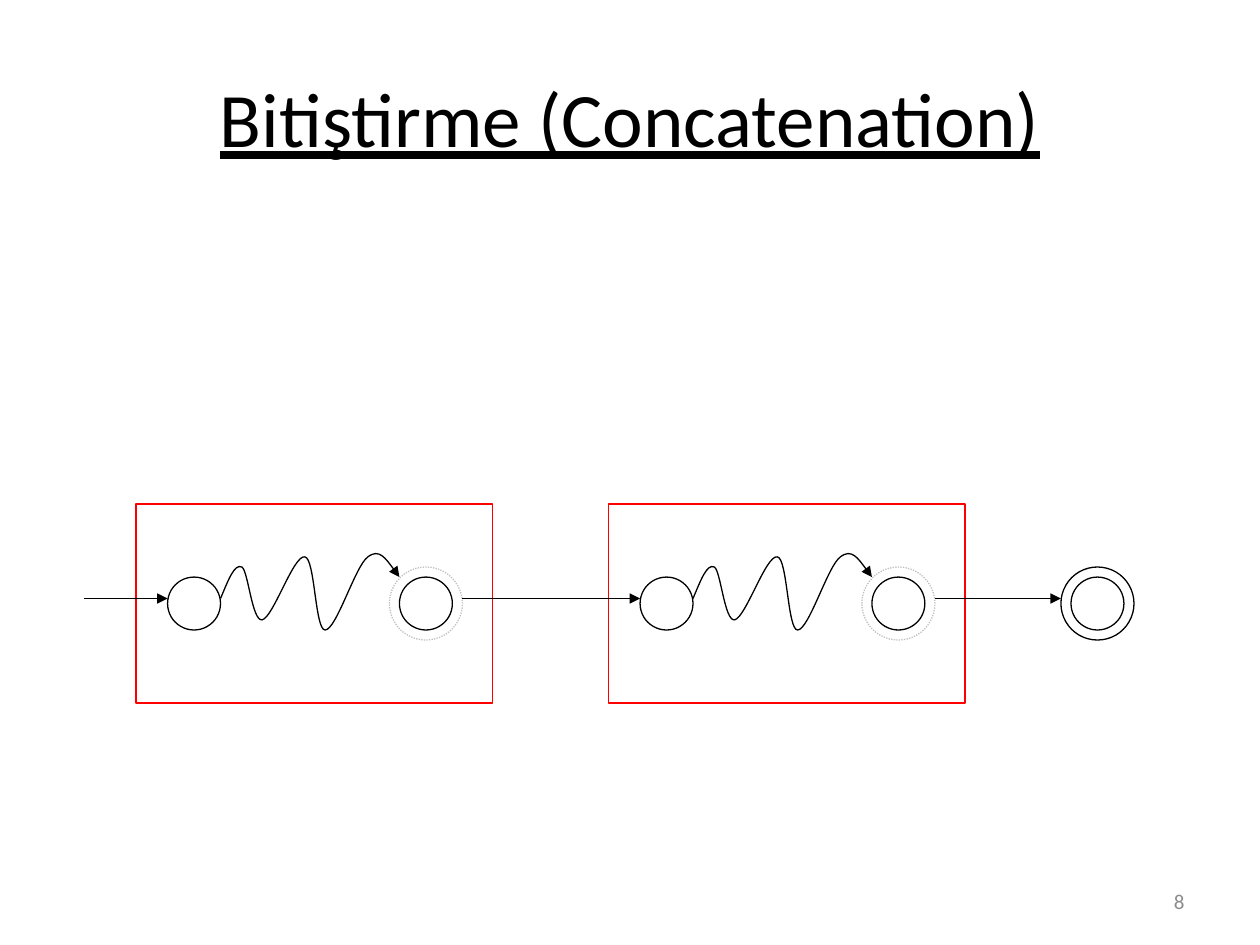
import pptx
import pptx.dml.color
import pptx.enum.dml
import pptx.enum.shapes
import pptx.enum.text
import pptx.oxml
import pptx.oxml.ns
import pptx.util

In, Pt = pptx.util.Inches, pptx.util.Pt
SHAPE = pptx.enum.shapes.MSO_SHAPE
ALIGN = pptx.enum.text.PP_ALIGN
qn = pptx.oxml.ns.qn

TITLE = "Bitiştirme (Concatenation)"
PAGE = "8"
COLORS = {"ink": "000000", "box": "FF0000", "old": "C0C0C0", "page": "8C8C8C"}

MACHINES = [1.08, 4.83]          # left edges of the two automata
BOX_TOP, BOX_W, BOX_H = 4, 2.83, 1.58
START_DX, END_DX = 0.25, 2.09    # states, from the left edge of their box
STATE_Y, STATE_D = 4.58, 0.42
RING_GAP = 0.08
ARROW_Y = 4.75
ENTRY_X, FINAL_X = 0.67, 8.5
# Start point, then two control points and an end point per curve,
# measured from the right edge of the start state on the arrow line
PATH = [(0, 0),
        (.06, -.14), (.11, -.28), (.17, -.25),
        (.22, -.22), (.25, .18), (.33, .17),
        (.42, .15), (.58, -.35), (.67, -.33),
        (.75, -.32), (.75, .25), (.83, .25),
        (.92, .25), (1.07, -.26), (1.17, -.33),
        (1.26, -.4), (1.34, -.28), (1.42, -.17)]


def rgb(name):
    return pptx.dml.color.RGBColor.from_string(COLORS[name])


def outline(s, color="ink"):
    s.line.color.rgb = rgb(color)
    s.line.width = Pt(0.75)


def add_arrowhead(s):
    pptx.oxml.ns  # namespace map used by qn
    tail = s.line._get_or_add_ln().makeelement(qn("a:tailEnd"), {"type": "triangle"})
    s.line._get_or_add_ln().append(tail)


def add_outline_shape(kind, x, y, w, h, color="ink"):
    s = sld.shapes.add_shape(kind, In(x), In(y), In(w), In(h))
    s.shadow.inherit = False
    s.fill.background()
    outline(s, color)
    return s


def add_state(x):
    add_outline_shape(SHAPE.OVAL, x, STATE_Y, STATE_D, STATE_D)


def add_ring(x, color="ink"):
    """Outer circle that marks a state as accepting."""
    d = STATE_D + 2 * RING_GAP
    return add_outline_shape(SHAPE.OVAL, x - RING_GAP, STATE_Y - RING_GAP, d, d, color)


def add_arrow(x1, x2):
    s = sld.shapes.add_connector(pptx.enum.shapes.MSO_CONNECTOR.STRAIGHT,
                                 In(x1), In(ARROW_Y), In(x2), In(ARROW_Y))
    outline(s)
    add_arrowhead(s)
    sp_pr = s._element.spPr
    sp_pr.append(sp_pr.makeelement(qn("a:effectLst"), {}))


def add_wave(x):
    """Freeform through PATH, its points regrouped in threes as Bezier curves."""
    pts = [(In(x + dx), In(ARROW_Y + dy)) for dx, dy in PATH]
    fb = sld.shapes.build_freeform(*pts[0])
    fb.add_line_segments(pts[1:], close=False)
    s = fb.convert_to_shape()
    s.shadow.inherit = False
    s.fill.background()
    outline(s)
    add_arrowhead(s)
    path = s._element.spPr.find(".//" + qn("a:path"))
    lines = path.findall(qn("a:lnTo"))
    for i in range(0, len(lines), 3):
        curve = path.makeelement(qn("a:cubicBezTo"), {})
        path.append(curve)
        for ln in lines[i:i + 3]:
            curve.append(ln[0])
            path.remove(ln)


def write(s, text, size, color, align):
    tf = s.text_frame
    tf.word_wrap = True
    tf.vertical_anchor = pptx.enum.text.MSO_ANCHOR.MIDDLE
    p = tf.paragraphs[0]
    p.alignment = align
    r = p.add_run()
    r.text = text
    r.font.size, r.font.name = Pt(size), "Calibri"
    r.font.color.rgb = rgb(color)
    return r


prs = pptx.Presentation()
prs.slide_width, prs.slide_height = In(10), In(7.5)
sld = prs.slides.add_slide(prs.slide_layouts[5])

title = sld.shapes.title
title.left, title.top, title.width, title.height = In(0.5), In(0.3), In(9), In(1.25)
write(title, TITLE, 44, "ink", ALIGN.CENTER).font.underline = True
page = sld.shapes.add_textbox(In(7.17), In(6.95), In(2.33), In(0.4))
write(page, PAGE, 12, "page", ALIGN.RIGHT)

arrow_from = ENTRY_X
for left in MACHINES:
    start, end = left + START_DX, left + END_DX
    add_outline_shape(SHAPE.RECTANGLE, left, BOX_TOP, BOX_W, BOX_H, "box")
    add_state(start)
    add_state(end)
    ring = add_ring(end, "old")
    ring.line.dash_style = pptx.enum.dml.MSO_LINE.ROUND_DOT
    add_wave(start + STATE_D)
    add_arrow(arrow_from, start)
    arrow_from = end + STATE_D + RING_GAP

add_state(FINAL_X)
add_ring(FINAL_X)
add_arrow(arrow_from, FINAL_X - RING_GAP)

prs.save("out.pptx")
